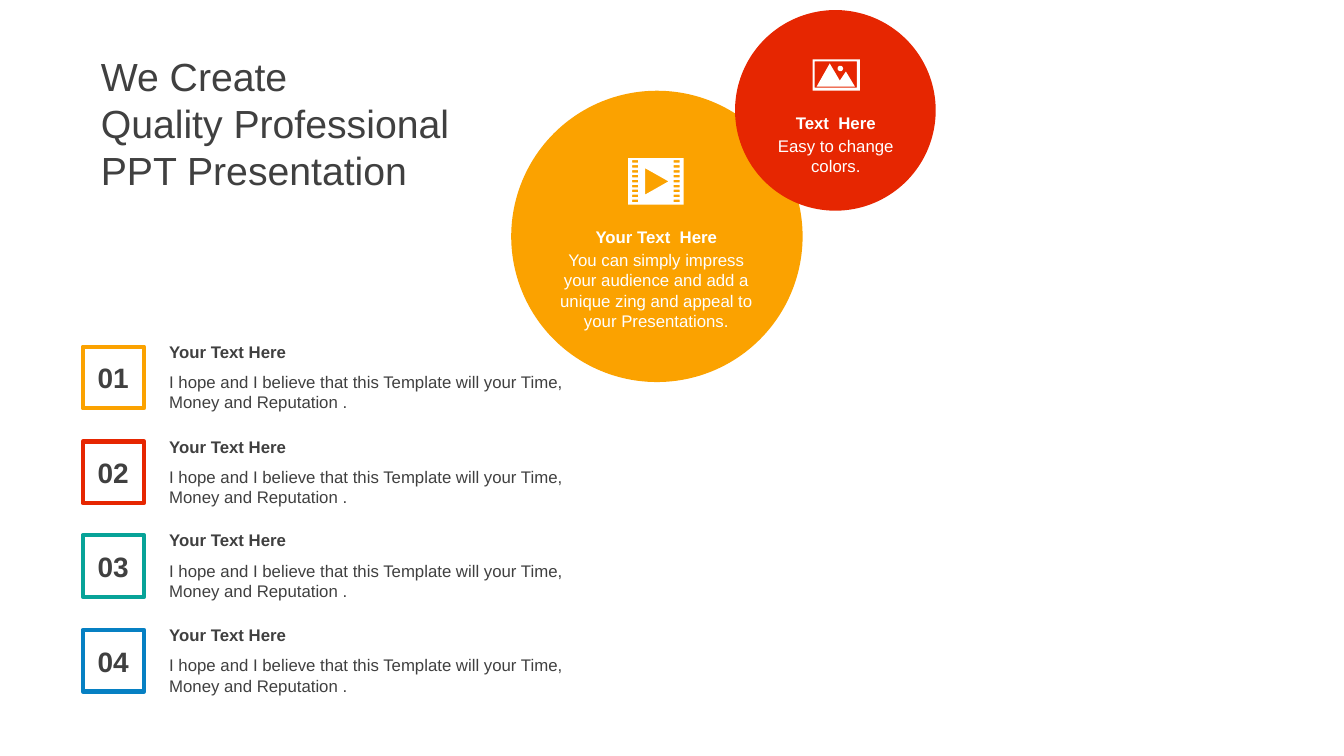
import math

import pptx
import pptx.dml.color
import pptx.enum.shapes
import pptx.enum.text
import pptx.util

RGBColor = pptx.dml.color.RGBColor
SHAPES = pptx.enum.shapes.MSO_SHAPE
ALIGN = pptx.enum.text.PP_ALIGN
ANCHOR = pptx.enum.text.MSO_ANCHOR

ORANGE = RGBColor(0xFB, 0xA2, 0x00)
RED = RGBColor(0xE6, 0x26, 0x01)
TEAL = RGBColor(0x07, 0xA3, 0x98)
BLUE = RGBColor(0x06, 0x80, 0xC3)
WHITE = RGBColor(0xFF, 0xFF, 0xFF)
GREY = RGBColor(0x40, 0x40, 0x40)
PX = 9144  # EMU per px, 100 px to the inch

deck = pptx.Presentation()
deck.slide_width, deck.slide_height = 1333 * PX, 750 * PX
slide = deck.slides.add_slide(deck.slide_layouts[6])


def add_text(text, box, size=12, color=GREY, bold=False, align=ALIGN.LEFT,
             anchor=ANCHOR.TOP, wrap=True, insets=(10, 5)):
    """Place text, one paragraph per line, in a (left, top, width, height) box."""
    frame = slide.shapes.add_textbox(*(v * PX for v in box)).text_frame
    frame.word_wrap = wrap
    frame.auto_size = pptx.enum.text.MSO_AUTO_SIZE.SHAPE_TO_FIT_TEXT
    frame.vertical_anchor = anchor
    frame.margin_left = frame.margin_right = insets[0] * PX
    frame.margin_top = frame.margin_bottom = insets[1] * PX
    frame.text = text
    for paragraph in frame.paragraphs:
        paragraph.alignment = align
        for run in paragraph.runs:
            run.font.name = "Arial"
            run.font.size = pptx.util.Pt(size)
            run.font.bold = bold
            run.font.color.rgb = color


def add_icon(contours):
    """Draw one white shape from closed outlines; inner outlines become holes."""
    builder = slide.shapes.build_freeform(scale=PX / 100)
    for contour in contours:
        points = [(round(x * 100), round(y * 100)) for x, y in contour]
        builder.move_to(*points[0])
        builder.add_line_segments(points[1:], close=True)
    icon = builder.convert_to_shape()
    icon.shadow.inherit = False
    icon.fill.solid()
    icon.fill.fore_color.rgb = WHITE
    icon.line.fill.background()


# Numbered list
for index, color in enumerate((ORANGE, RED, TEAL, BLUE)):
    top = 344 + round(index * 281 / 3)
    frame_square = slide.shapes.add_shape(
        SHAPES.RECTANGLE, 82 * PX, top * PX, 61 * PX, 61 * PX)
    frame_square.shadow.inherit = False
    frame_square.fill.solid()
    frame_square.fill.fore_color.rgb = WHITE
    frame_square.line.color.rgb = color
    frame_square.line.width = pptx.util.Pt(3)
    add_text(f"{index + 1:02}", (87, top + 9, 51, 44), size=20, bold=True, wrap=False)
    add_text("Your Text Here", (158, top - 10, 463, 30), bold=True)
    add_text("I hope and I believe that this Template will your Time, "
             "Money and Reputation .", (158, top + 20, 463, 50))

# Circles with their captions
circles = [
    (ORANGE, 507, 90, 289, "Your Text  Here", (542, 220, 218, 30),
     "You can simply impress your audience and add a unique zing and appeal "
     "to your Presentations.", (542, 243, 218, 91)),
    (RED, 729, 10, 199, "Text  Here", (744, 107, 170, 30),
     "Easy to change colors.", (744, 130, 170, 50)),
]
for color, left, top, diameter, heading, heading_box, body, body_box in circles:
    circle = slide.shapes.add_shape(
        SHAPES.OVAL, left * PX, top * PX, diameter * PX, diameter * PX)
    circle.shadow.inherit = False
    circle.fill.solid()
    circle.fill.fore_color.rgb = color
    circle.line.fill.background()
    add_text(body, body_box, color=WHITE, align=ALIGN.CENTER)
    add_text(heading, heading_box, color=WHITE, bold=True, align=ALIGN.CENTER)

# Film icon: frame, play triangle and two columns of nine perforations
film = [[(623, 157), (678, 157), (678, 203), (623, 203)],
        [(640, 167), (640, 193), (663, 180)]]
for row in range(9):
    y = 159 + row * 39 / 8
    for x in (627, 668):
        film.append([(x, y), (x + 6, y), (x + 6, y + 2.5), (x, y + 2.5)])
add_icon(film)

# Landscape icon: border, mountains and sun
sun = [(833.5 + 2.7 * math.cos(math.radians(a)), 68 + 2.7 * math.sin(math.radians(a)))
       for a in range(0, 360, 15)]
add_icon([
    [(806, 59), (853, 59), (853, 90), (806, 90)],
    [(808, 61), (808, 87), (850, 87), (850, 61)],
    [(823, 63), (833, 80), (839, 71), (848, 86), (810, 86)],
    sun,
])

add_text("We Create\nQuality Professional\nPPT Presentation", (96, 51, 371, 141),
         size=28, anchor=ANCHOR.MIDDLE, insets=(4, 0))

deck.save("out.pptx")
